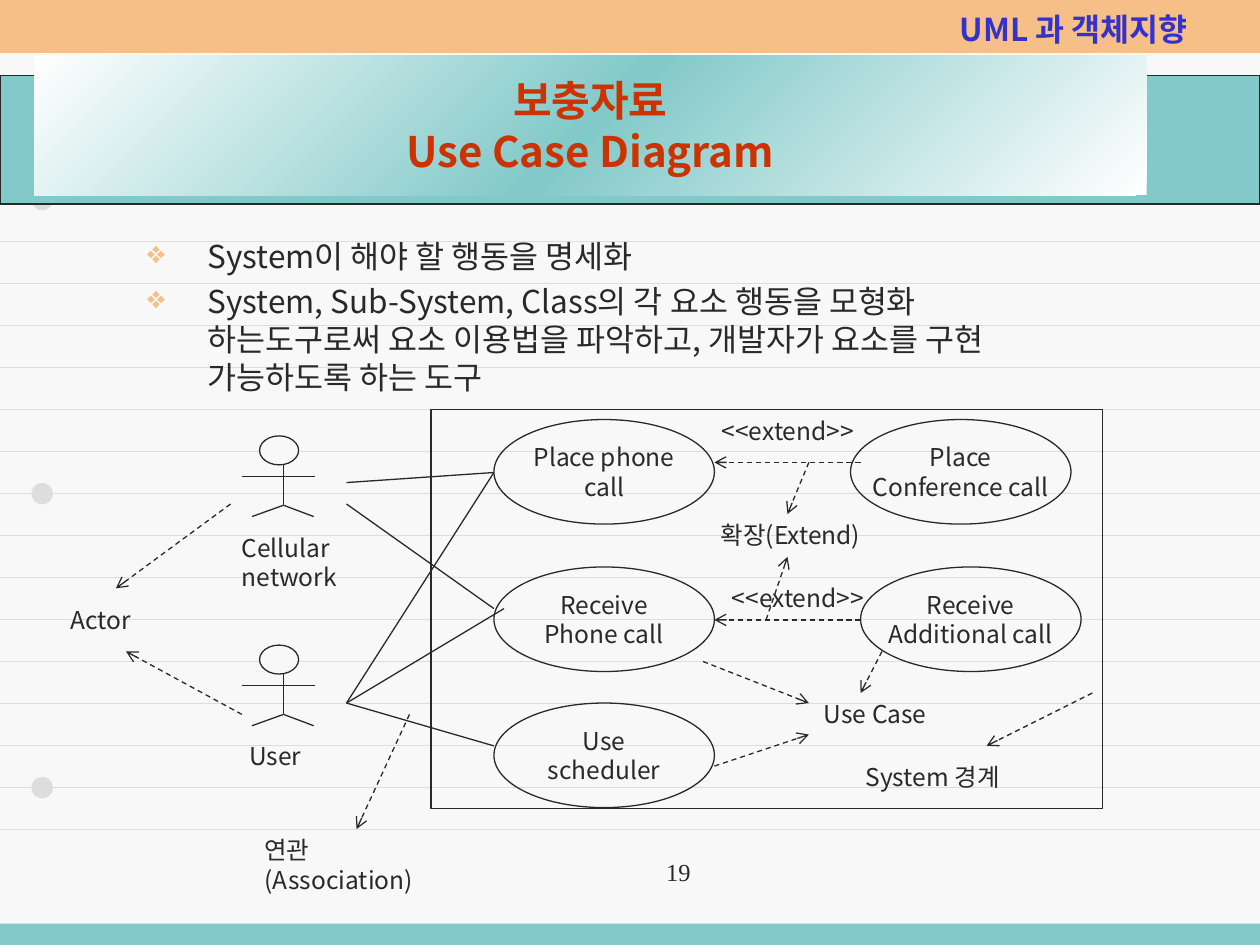
"""Build the use case diagram slide with its ruled-notebook frame."""
from copy import deepcopy

from lxml.etree import SubElement
from pptx import Presentation
from pptx.dml.color import RGBColor
from pptx.enum.dml import MSO_LINE
from pptx.enum.shapes import MSO_CONNECTOR, MSO_SHAPE
from pptx.enum.text import MSO_ANCHOR, MSO_AUTO_SIZE, PP_ALIGN
from pptx.oxml.ns import qn
from pptx.util import Inches, Pt

INK = RGBColor(0x29, 0x29, 0x29)
PAPER = RGBColor(0xF8, 0xF8, 0xF8)
RULE = RGBColor(0xDD, 0xDD, 0xDD)
TEAL = RGBColor(0x83, 0xC9, 0xC9)
ORANGE = RGBColor(0xF6, 0xBF, 0x88)
RED = RGBColor(0xCC, 0x33, 0x00)
BLUE = RGBColor(0x33, 0x33, 0xCC)
WHITE = RGBColor(0xFF, 0xFF, 0xFF)
FONT = "Noto Sans CJK KR"

HEADER = "UML 과 객체지향"
TITLE = "보충자료\vUse Case Diagram"
BULLETS = [
    "System이 해야 할 행동을 명세화",
    "System, Sub-System, Class의 각 요소 행동을 모형화 하는도구로써 요소 이용법을 "
    "파악하고, 개발자가 요소를 구현 가능하도록 하는 도구",
]
USE_CASES = [
    ("Place phone\ncall", 3.92, 3.33),
    ("Place\nConference call", 6.75, 3.33),
    ("Receive\nPhone call", 3.92, 4.5),
    ("Receive\nAdditional call", 6.83, 4.5),
    ("Use\nscheduler", 3.92, 5.58),
]
LABELS = [
    ("Cellular\nnetwork", 1.82, 4.18, 0.95, 0.57),
    ("User", 1.88, 5.83, 0.62, 0.34),
    ("Actor", 0.46, 4.75, 0.68, 0.34),
    ("<<extend>>", 5.63, 3.25, 1.28, 0.34),
    ("<<extend>>", 5.71, 4.58, 1.28, 0.34),
    ("확장(Extend)", 5.62, 4.08, 1.35, 0.34),
    ("Use Case", 6.44, 5.5, 1.03, 0.34),
    ("System 경계", 6.77, 6, 1.32, 0.34),
]
ASSOCIATIONS = [
    (2.75, 3.83, 3.92, 3.75),
    (2.75, 4, 3.92, 4.83),
    (4, 4.83, 2.75, 5.58),
    (2.75, 5.58, 3.92, 3.75),
    (2.75, 5.58, 3.92, 5.92),
]
DASHED_ARROWS = [
    (6.83, 3.67, 5.67, 3.67),
    (6.83, 4.92, 5.67, 4.92),
    (1.92, 5.67, 1, 5.17),
    (1.83, 4, 0.92, 4.67),
    (7, 5.17, 6.83, 5.5),
    (5.58, 5.25, 6.42, 5.58),
    (5.67, 6.08, 6.42, 5.83),
    (3.25, 5.67, 2.83, 6.58),
    (8.67, 5.5, 7.83, 5.92),
    (6.08, 4.92, 6.25, 4.42),
    (6.42, 3.67, 6.25, 4.08),
]
ACTOR_TOPS = [3.46, 5.12]
ACTOR_LIMBS = [
    (2.25, 0.23, 2.25, 0.55),
    (2.25, 0.55, 2, 0.64),
    (2.25, 0.55, 2.49, 0.64),
    (1.92, 0.32, 2.5, 0.32),
]


def write(sp, text, color=INK, size=14, bold=False, align=PP_ALIGN.LEFT,
          anchor=MSO_ANCHOR.TOP, wrap=False, font=FONT):
    tf = sp.text_frame
    tf.text = text
    frame = {"word_wrap": wrap, "vertical_anchor": anchor, "auto_size": MSO_AUTO_SIZE.NONE}
    for name, value in frame.items():
        setattr(tf, name, value)
    for p in tf.paragraphs:
        p.alignment = align
        for r in p.runs:
            for name, value in {"size": Pt(size), "bold": bold, "name": font}.items():
                setattr(r.font, name, value)
            r.font.color.rgb = color
            SubElement(r.font._element, qn("a:ea"), typeface=font)
    return tf


def add_text(s, text, x, y, w, h, **style):
    sp = s.shapes.add_textbox(Inches(x), Inches(y), Inches(w), Inches(h))
    return write(sp, text, **style)


def add_box(shapes, kind, x, y, w, h, fill=None, line=None):
    sp = shapes.add_shape(kind, Inches(x), Inches(y), Inches(w), Inches(h))
    sp.shadow.inherit = False
    if fill is None:
        sp.fill.background()
    else:
        sp.fill.solid()
        sp.fill.fore_color.rgb = fill
    if line is None:
        sp.line.fill.background()
    else:
        sp.line.color.rgb = line
        sp.line.width = Pt(0.75)
    return sp


def add_line(shapes, x1, y1, x2, y2, color=INK, width=0.75, arrow=False):
    sp = shapes.add_connector(MSO_CONNECTOR.STRAIGHT, Inches(x1), Inches(y1),
                              Inches(x2), Inches(y2))
    sp.line.color.rgb = color
    sp.line.width = Pt(width)
    if arrow:
        sp.line.dash_style = MSO_LINE.DASH
        SubElement(sp.line._get_or_add_ln(), qn("a:tailEnd"), type="arrow")
    SubElement(sp._element.spPr, qn("a:effectLst"))


def add_frame(s):
    s.background.fill.solid()
    s.background.fill.fore_color.rgb = PAPER
    for i in range(17):
        y = 1.25 + i / 3
        add_line(s.shapes, 0, y, 10, y, RULE, 0.5)
    for i in range(3):
        add_box(s.shapes, MSO_SHAPE.OVAL, 0.25, 1.5 + i * 7 / 3, 0.17, 0.17, RULE)
    for y, h, fill, line in [(7.33, 0.17, TEAL, None), (0, 0.42, ORANGE, None),
                             (0.6, 1.02, TEAL, INK)]:
        add_box(s.shapes, MSO_SHAPE.RECTANGLE, 0, y, 10, h, fill, line)
    add_text(s, HEADER, 7.52, 0.03, 2.01, 0.25, color=BLUE, size=18, bold=True)


def add_title(s):
    sp = s.shapes.title
    sp.element.getparent().append(sp.element)
    place = {"left": 0.27, "top": 0.44, "width": 8.83, "height": 1.11}
    for name, value in place.items():
        setattr(sp, name, Inches(value))
    sp.fill.gradient()
    sp.fill.gradient_angle = 315
    stops = sp._element.spPr.find(qn("a:gradFill")).find(qn("a:gsLst"))
    stops.append(deepcopy(stops[0]))
    for stop, color, position in zip(sp.fill.gradient_stops, (WHITE, TEAL, WHITE), (0, 0.5, 1)):
        stop.color.rgb = color
        stop.position = position
    write(sp, TITLE, color=RED, size=24, bold=True, align=PP_ALIGN.CENTER,
          anchor=MSO_ANCHOR.MIDDLE, wrap=True)


def add_bullets(s):
    tf = add_text(s, "\n".join(BULLETS), 0.58, 1.83, 7.96, 1.4, size=18, wrap=True)
    for p in tf.paragraphs:
        p.space_before = Pt(4.5)
        pPr = p._p.get_or_add_pPr()
        pPr.set("marL", str(Inches(0.97)))
        pPr.set("indent", str(Inches(-0.48)))
        SubElement(SubElement(pPr, qn("a:buClr")), qn("a:srgbClr"), val=str(ORANGE))
        SubElement(pPr, qn("a:buChar"), char="❖")


def add_actor(s, top):
    shapes = s.shapes.add_group_shape().shapes
    add_box(shapes, MSO_SHAPE.OVAL, 2.06, top, 0.31, 0.23, PAPER, INK)
    for x1, y1, x2, y2 in ACTOR_LIMBS:
        add_line(shapes, x1, top + y1, x2, top + y2)


def main():
    prs = Presentation()
    prs.slide_width, prs.slide_height = Inches(10), Inches(7.5)
    s = prs.slides.add_slide(prs.slide_layouts[5])
    add_frame(s)
    add_title(s)
    add_bullets(s)
    for top in ACTOR_TOPS:
        add_actor(s, top)
    add_box(s.shapes, MSO_SHAPE.RECTANGLE, 3.42, 3.25, 5.33, 3.17, line=INK)
    for text, x, y in USE_CASES:
        sp = add_box(s.shapes, MSO_SHAPE.OVAL, x, y, 1.75, 0.83, line=INK)
        write(sp, text, align=PP_ALIGN.CENTER, anchor=MSO_ANCHOR.MIDDLE)
    for ends in ASSOCIATIONS:
        add_line(s.shapes, *ends)
    for ends in DASHED_ARROWS:
        add_line(s.shapes, *ends, arrow=True)
    for label in LABELS:
        add_text(s, *label)
    add_text(s, "연관(Association)", 2, 6.58, 1.45, 0.57, wrap=True)
    add_text(s, "19", 3.25, 6.75, 2.33, 0.52, align=PP_ALIGN.RIGHT, wrap=True,
             font="Times New Roman")
    prs.save("out.pptx")


if __name__ == "__main__":
    main()
